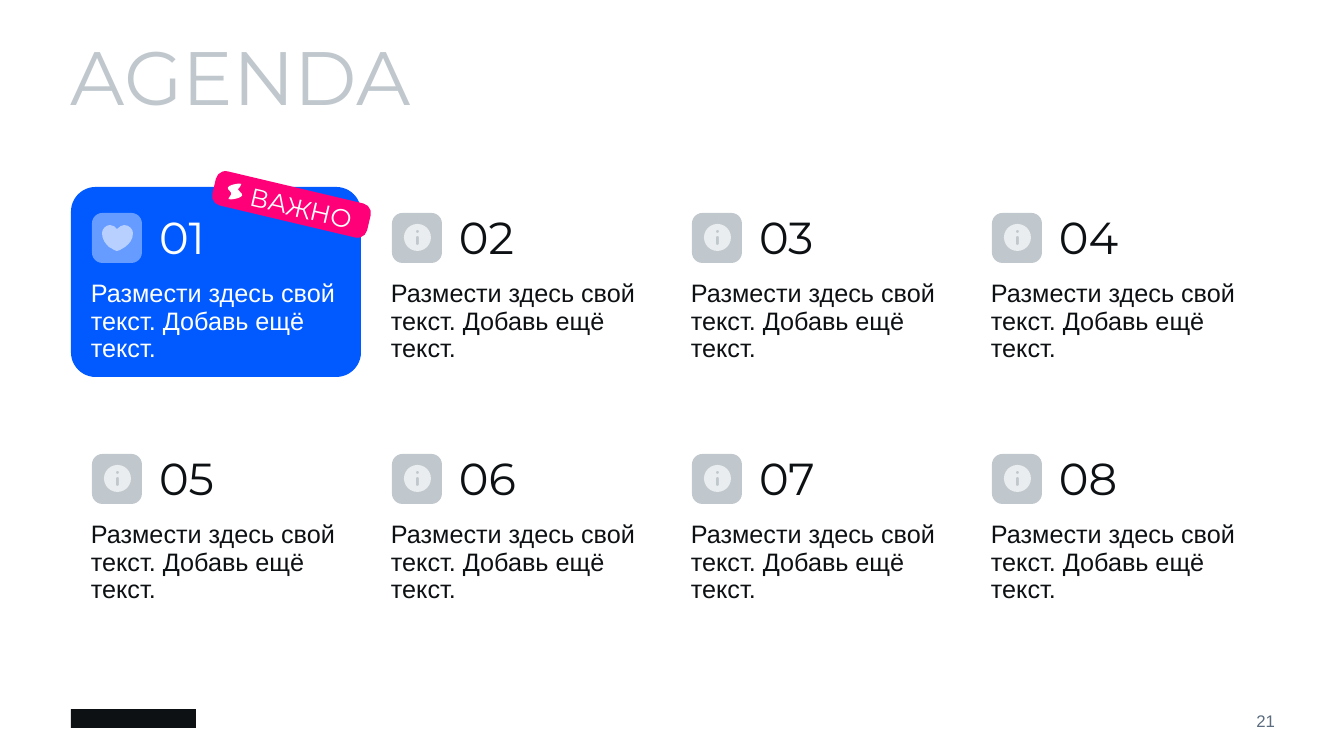
"""Build an agenda slide: eight numbered items, the first one highlighted."""
from dataclasses import dataclass

from lxml.etree import SubElement
from pptx import Presentation
from pptx.dml.color import RGBColor as RGB
from pptx.enum.shapes import MSO_SHAPE as SHAPE
from pptx.enum.text import MSO_ANCHOR as ANCHOR, PP_ALIGN as ALIGN
from pptx.oxml.ns import qn
from pptx.util import Pt

W, H = 1344, 756
SCALE = 12192000 / W
FINE = 10
COLS, X0, Y0, DX, DY = 4, 91, 213, 300, 241
TILT = 13.3
BODY = "Размести здесь свой текст. Добавь ещё текст."

COLORS = {
    "ink": "0E1114", "white": "FFFFFF", "blue": "005AFF", "sky": "669CFF",
    "pale_blue": "CCDEFF", "gray": "C0C8CE", "pale_gray": "EAEDEF",
    "slate": "5A6C7D", "pink": "FF0078",
}

TIGHT = {"line_spacing": 0.9, "space_after": Pt(6)}
FORMATS = {
    "title": ({"name": "Montserrat", "size": Pt(54)}, {}, {}),
    "number": ({"name": "Montserrat", "size": Pt(32)}, TIGHT, {}),
    "body": ({"name": "Arial", "size": Pt(18)}, TIGHT, {}),
    "badge": ({"name": "Montserrat", "size": Pt(18)}, {"alignment": ALIGN.LEFT},
              {"vertical_anchor": ANCHOR.MIDDLE}),
    "page": ({"name": "Arial", "size": Pt(12)}, {"alignment": ALIGN.RIGHT},
             {"vertical_anchor": ANCHOR.MIDDLE}),
}

Contour = list[tuple[float, ...]]


@dataclass(frozen=True)
class Box:
    x: int
    y: int
    w: int
    h: int


@dataclass(frozen=True)
class Glyph:
    box: Box
    color: str
    contours: list[Contour]
    alpha: int = 100


@dataclass(frozen=True)
class Look:
    text: str
    tile: str
    glyph: Glyph


def px(n: float) -> int:
    """Turn px into EMU."""
    return round(n * SCALE)


def capsule(x: float, y: float, w: float, h: float) -> Contour:
    """Outline of an upright capsule, or of a circle when w equals h."""
    r = w / 2
    return [(x, y + r), (r, r, 180, 180), (x + w, y + h - r), (r, r, 0, 180)]


INFO = Glyph(Box(12, 11, 27, 27), "pale_gray",
             [capsule(0, 0, 27, 27), capsule(12, 6, 3, 3), capsule(12, 12, 3, 9)])
HEART = Glyph(Box(10, 12, 31, 26), "pale_blue", [[
    (12, 25), (11, 24, 9, 23, 7, 22), (4, 19, 0, 15, 0, 8), (0, 4, 4, 0, 8, 0),
    (11, 0, 14, 2, 15, 4), (17, 2, 20, 0, 22, 0), (27, 0, 31, 4, 31, 8),
    (31, 15, 27, 19, 23, 22), (21, 23, 20, 24, 18, 25), (17, 26, 16, 26, 15, 26),
    (14, 26, 14, 26, 12, 25)]], 80)
BOLT = Glyph(Box(227, 182, 16, 19), "white", [[
    (5, 3), (3, 4, -2, 7, 1, 9), (4, 11), (5, 12, 5, 12, 5, 13), (4, 16),
    (1, 21, 9, 17, 11, 16), (13, 15, 18, 12, 15, 10), (12, 8),
    (10, 7, 10, 7, 11, 5), (11, 5, 12, 4, 12, 3), (15, -2, 7, 2, 5, 3)]])
PLAIN = Look("ink", "gray", INFO)
ACTIVE = Look("white", "sky", HEART)


def paint(sp, color: str, alpha: int = 100) -> None:
    """Give a shape a flat fill without line or shadow."""
    sp.shadow.inherit = False
    sp.fill.solid()
    sp.fill.fore_color.rgb = RGB.from_string(COLORS[color])
    if alpha < 100:
        clr = sp._element.spPr.find(".//" + qn("a:srgbClr"))
        SubElement(clr, qn("a:alpha"), val=str(alpha * 1000))
    sp.line.fill.background()


def add_panel(s, box: Box, color: str, adj: float = 0):
    """Add a filled rectangle, rounded when adj is given."""
    kind = SHAPE.ROUNDED_RECTANGLE if adj else SHAPE.RECTANGLE
    sp = s.shapes.add_shape(kind, px(box.x), px(box.y), px(box.w), px(box.h))
    if adj:
        sp.adjustments[0] = adj
    paint(sp, color)
    return sp


def trace(outline, contour: Contour) -> None:
    """Write a contour: pairs are points, fours are arcs, sixes are cubic curves."""
    for i, seg in enumerate(contour):
        if len(seg) == 4:
            radii = [str(round(v * FINE)) for v in seg[:2]]
            angles = [str(v * 60000) for v in seg[2:]]
            SubElement(outline, qn("a:arcTo"),
                       dict(zip(("wR", "hR", "stAng", "swAng"), radii + angles)))
            continue
        tag = "moveTo" if i == 0 else "lnTo" if len(seg) == 2 else "cubicBezTo"
        step = SubElement(outline, qn(f"a:{tag}"))
        for x, y in zip(seg[::2], seg[1::2]):
            SubElement(step, qn("a:pt"), x=str(round(x * FINE)), y=str(round(y * FINE)))
    SubElement(outline, qn("a:close"))


def add_glyph(s, glyph: Glyph, x: int = 0, y: int = 0):
    """Add a curved freeform glyph, placed relative to x, y."""
    box = glyph.box
    w, h = box.w * FINE, box.h * FINE
    fb = s.shapes.build_freeform(0, 0, scale=SCALE / FINE)
    fb.add_line_segments([(w, 0), (w, h), (0, h)], close=True)
    sp = fb.convert_to_shape(px(x + box.x), px(y + box.y))
    outline = sp._element.find(".//" + qn("a:path"))
    for child in list(outline):
        outline.remove(child)
    for contour in glyph.contours:
        trace(outline, contour)
    paint(sp, glyph.color, glyph.alpha)
    return sp


def write(sp, text: str, style: str, color: str,
          insets: tuple[int, int, int, int] = (0, 0, 0, 0)) -> None:
    """Put one formatted paragraph into a shape."""
    tf = sp.text_frame
    p = tf.paragraphs[0]
    r = p.add_run()
    r.text = text
    font, para, frame = FORMATS[style]
    margins = dict(zip(("margin_left", "margin_top", "margin_right", "margin_bottom"),
                       map(px, insets)))
    for obj, values in ((tf, {"word_wrap": True, **margins, **frame}),
                        (p, para), (r.font, font)):
        for name, value in values.items():
            setattr(obj, name, value)
    r.font.color.rgb = RGB.from_string(COLORS[color])


def add_text(s, box: Box, text: str, style: str, color: str) -> None:
    """Add a text box."""
    sp = s.shapes.add_textbox(px(box.x), px(box.y), px(box.w), px(box.h))
    write(sp, text, style, color)


def add_item(s, i: int, look: Look) -> None:
    """Add one agenda item at its place in the grid."""
    row, col = divmod(i, COLS)
    x, y = X0 + col * DX, Y0 + row * DY
    add_panel(s, Box(x + 1, y, 50, 50), look.tile, 0.21)
    add_glyph(s, look.glyph, x + 1, y)
    add_text(s, Box(x + 68, y + 3, 96, 44), f"{i + 1:02d}", "number", look.text)
    add_text(s, Box(x, y + 68, 270, 91), BODY, "body", look.text)


def main() -> None:
    """Build and save the slide."""
    prs = Presentation()
    prs.slide_width, prs.slide_height = px(W), px(H)
    s = prs.slides.add_slide(prs.slide_layouts[6])
    add_panel(s, Box(71, 709, 125, 19), "ink")
    add_panel(s, Box(71, 187, 290, 190), "blue", 0.13)
    add_text(s, Box(1175, 709, 100, 24), "21", "page", "slate")
    add_text(s, Box(71, 30, 726, 91), "AGENDA", "title", "gray")
    for i in range(2 * COLS):
        add_item(s, i, PLAIN if i else ACTIVE)
    badge = add_panel(s, Box(212, 187, 159, 35), "pink", 0.28)
    write(badge, "ВАЖНО", "badge", "white", (35, 2, 8, 0))
    for sp in (badge, add_glyph(s, BOLT)):
        sp.rotation = TILT
    prs.save("out.pptx")


if __name__ == "__main__":
    main()
